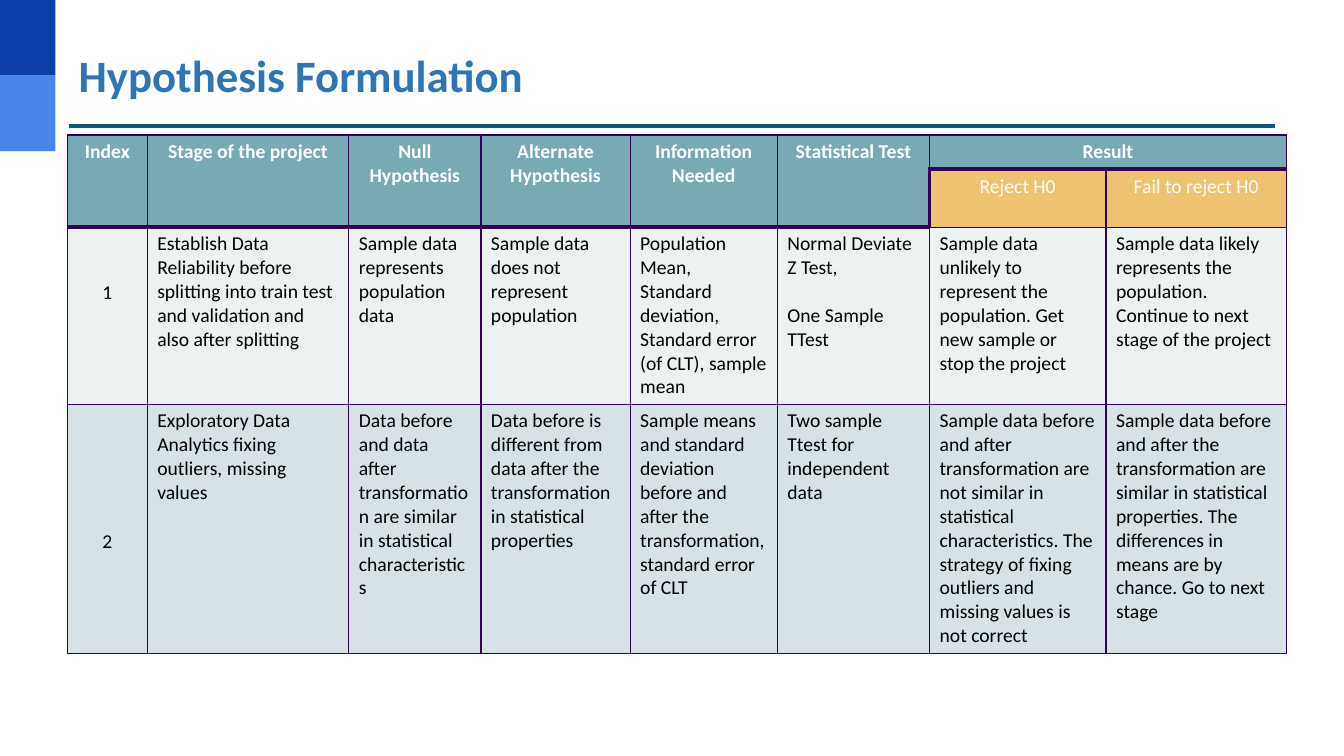
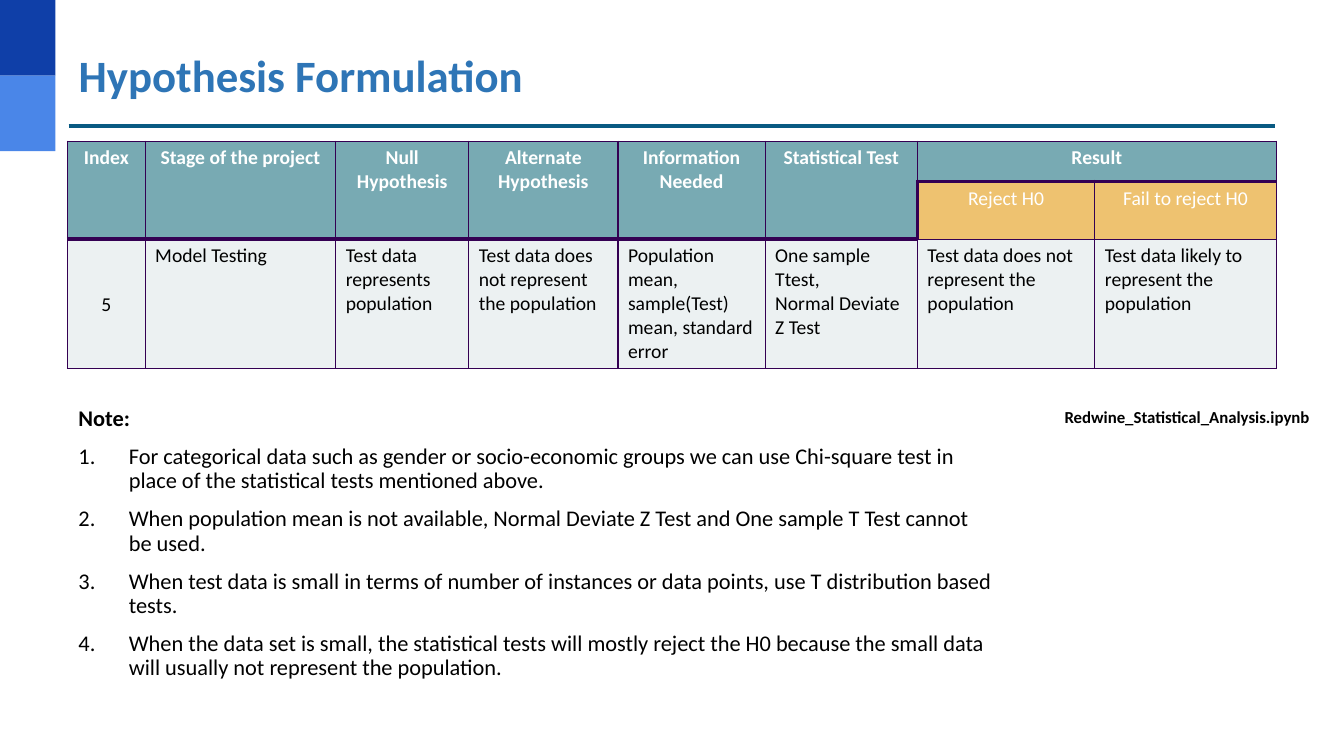
from lxml import etree
from pptx import Presentation
from pptx.dml.color import RGBColor
from pptx.enum.shapes import MSO_CONNECTOR, MSO_SHAPE
from pptx.enum.text import MSO_ANCHOR, MSO_AUTO_SIZE, PP_ALIGN
from pptx.oxml.ns import qn
from pptx.util import Inches, Pt

RECTANGLE = MSO_SHAPE.RECTANGLE
STRAIGHT = MSO_CONNECTOR.STRAIGHT
TOP, MIDDLE = MSO_ANCHOR.TOP, MSO_ANCHOR.MIDDLE
LEFT, CENTER = PP_ALIGN.LEFT, PP_ALIGN.CENTER
NO_AUTOFIT = MSO_AUTO_SIZE.NONE

# Theme: colours, fonts, type sizes, line widths
THEME = {
    "font": "Calibri",
    "bands": ["0F3FA8", "4A86E8"],
    "rule": "095A82",
    "title": "2E75B6",
    "text": "000000",
    "header_text": "FFFFFF",
    "header": "78AAB3",
    "subheader": "EEC270",
    "rows": ["ECF1F2", "D6E2E5"],
    "border": "340053",
    "title_size": 32,
    "table_size": 14,
    "note_size": 16,
    "file_size": 12,
    "rule_width": 2.25,
    "thin": 1,
    "thick": 3,
    "line_spacing": 0.9,
    "note_gap": 10,
}
SLIDE_SIZE = (13.33, 7.5)
BAND_SIZE = (0.55, 0.75)
TITLE_BOX = (0.68, 0.43, 11.97, 0.69)
RULE_TOP = 1.25
TABLE_LEFT = 0.67
CELL_MARGIN = 0.05
TABLE_LINE = 0.24  # height of one line of table text

# Content
TITLE = "Hypothesis Formulation"
HEADERS = ["Index", "Stage of the project", "Null Hypothesis",
           "Alternate Hypothesis", "Information Needed", "Statistical Test"]
RESULT = "Result"
OUTCOMES = ["Reject H0", "Fail to reject H0"]

TABLES = [
    {
        "top": 1.34,
        "columns": [0.79, 2, 1.31, 1.48, 1.46, 1.51, 1.75, 1.79],
        "heights": [0.34, 0.57, 1.75, 2.47],
        "index_lines": [2, 5],
        "paragraph_gap": 17,
        "rows": [
            ["1",
             "Establish Data Reliability before splitting into train test and "
             "validation and also after splitting",
             "Sample data represents population data",
             "Sample data does not represent population",
             "Population Mean, Standard deviation, Standard error (of CLT), "
             "sample mean",
             "Normal Deviate Z Test,\nOne Sample TTest",
             "Sample data unlikely to represent the population. Get new sample "
             "or stop the project",
             "Sample data likely represents the population. Continue to next "
             "stage of the project"],
            ["2",
             "Exploratory Data Analytics fixing outliers, missing values",
             "Data before and data after transformation are similar in "
             "statistical characteristics",
             "Data before is different from data after the transformation in "
             "statistical properties",
             "Sample means and standard deviation before and after the "
             "transformation, standard error of CLT",
             "Two sample Ttest for independent data",
             "Sample data before and after transformation are not similar in "
             "statistical characteristics. The strategy of fixing outliers and "
             "missing values is not correct",
             "Sample data before and after the transformation are similar in "
             "statistical properties. The differences in means are by chance. "
             "Go to next stage"],
        ],
    },
    {
        "top": 1.4,
        "columns": [0.77, 1.89, 1.32, 1.48, 1.46, 1.51, 1.76, 1.8],
        "heights": [0.4, 0.57, 1.28],
        "index_lines": [2],
        "paragraph_gap": 0,
        "rows": [
            ["5",
             "Model Testing",
             "Test data represents population",
             "Test data does not represent the population",
             "Population mean, sample(Test) mean, standard error",
             "One sample Ttest,\nNormal Deviate Z Test",
             "Test data does not represent the population",
             "Test data likely to represent the population"],
        ],
    },
]

NOTE_BOX = (0.68, 3.99, 9.3, 3.17)
NOTE_HEADING = "Note:"
NOTES = [
    "For categorical data such as gender or socio-economic groups we can use "
    "Chi-square test in place of the statistical tests mentioned above.",
    "When population mean is not available, Normal Deviate Z Test and One "
    "sample T Test cannot be used.",
    "When test data is small in terms of number of instances or data points, "
    "use T distribution based tests.",
    "When the data set is small, the statistical tests will mostly reject the "
    "H0 because the small data will usually not represent the population.",
]
FILE_BOX = (10.46, 3.99, 2.67, 0.3)
FILE_NAME = "Redwine_Statistical_Analysis.ipynb"


# Helpers
def inches(values):
    return [Inches(value) for value in values]


def color(name):
    return RGBColor.from_string(name)


def write(text_frame, lines, size, text_color, bold=False, **paragraph_format):
    """Write one paragraph per line and return the paragraphs."""
    text_frame.text = "\n".join(lines)
    for paragraph in text_frame.paragraphs:
        for name, value in paragraph_format.items():
            setattr(paragraph, name, value)
        for run in paragraph.runs:
            font = {"name": THEME["font"], "size": Pt(size), "bold": bold}
            for name, value in font.items():
                setattr(run.font, name, value)
            run.font.color.rgb = color(text_color)
    return text_frame.paragraphs


def add_text_box(slide, box, wrap):
    text_frame = slide.shapes.add_textbox(*inches(box)).text_frame
    text_frame.word_wrap = wrap
    return text_frame


def set_borders(cell, widths):
    properties = cell._tc.get_or_add_tcPr()
    for side in "LRTB":
        line = etree.SubElement(properties, qn(f"a:ln{side}"),
                                w=str(Pt(widths.get(side, THEME["thin"]))))
        fill = etree.SubElement(line, qn("a:solidFill"))
        etree.SubElement(fill, qn("a:srgbClr"), val=THEME["border"])


def number_paragraph(paragraph, indent):
    properties = paragraph._p.get_or_add_pPr()
    properties.set("marL", str(Inches(indent)))
    properties.set("indent", str(-Inches(indent)))
    etree.SubElement(properties, qn("a:buFont"), typeface="+mj-lt")
    etree.SubElement(properties, qn("a:buAutoNum"), type="arabicPeriod")


# Parts shared by the slides
def add_titled_slide(presentation):
    slide = presentation.slides.add_slide(presentation.slide_layouts[5])
    width, height = BAND_SIZE
    for position, band_color in enumerate(THEME["bands"]):
        band = slide.shapes.add_shape(
            RECTANGLE, *inches((0, position * height, width, height)))
        band.shadow.inherit = False
        band.fill.solid()
        band.fill.fore_color.rgb = color(band_color)
        band.line.fill.background()

    left, top, width, height = TITLE_BOX
    rule = slide.shapes.add_connector(
        STRAIGHT, *inches((left, RULE_TOP, left + width, RULE_TOP)))
    rule.line.color.rgb = color(THEME["rule"])
    rule.line.width = Pt(THEME["rule_width"])
    etree.SubElement(rule.element.spPr, qn("a:effectLst"))

    title = slide.shapes.title
    title.left, title.top, title.width, title.height = inches(TITLE_BOX)
    frame_format = {"vertical_anchor": MIDDLE, "word_wrap": True,
                    "auto_size": NO_AUTOFIT}
    for name, value in frame_format.items():
        setattr(title.text_frame, name, value)
    write(title.text_frame, [TITLE], THEME["title_size"], THEME["title"],
          bold=True, alignment=LEFT, line_spacing=THEME["line_spacing"])
    return slide


def cell_style(row, column):
    """Return fill, text colour, boldness and border widths of a cell."""
    thick = THEME["thick"]
    outcome = column >= len(HEADERS)
    if row == 1 and outcome:
        borders = {"T": thick}
        if column == len(HEADERS):
            borders["L"] = thick
        return THEME["subheader"], THEME["header_text"], False, borders
    if row < 2:
        return THEME["header"], THEME["header_text"], True, {"B": thick}
    borders = {"T": thick} if row == 2 and not outcome else {}
    return THEME["rows"][row % 2], THEME["text"], False, borders


def add_hypothesis_table(slide, content):
    columns, heights = content["columns"], content["heights"]
    grid = [HEADERS + [RESULT, ""], [""] * len(HEADERS) + OUTCOMES]
    grid += content["rows"]
    table = slide.shapes.add_table(
        len(heights), len(columns),
        *inches((TABLE_LEFT, content["top"], sum(columns), sum(heights)))).table
    table.first_row = table.horz_banding = False
    for column, width in zip(table.columns, columns):
        column.width = Inches(width)
    for row, height in zip(table.rows, heights):
        row.height = Inches(height)

    # Headings span two rows, the result spans two columns
    for column in range(len(HEADERS)):
        table.cell(0, column).merge(table.cell(1, column))
    table.cell(0, len(HEADERS)).merge(table.cell(0, len(columns) - 1))

    for row, texts in enumerate(grid):
        for column, text in enumerate(texts):
            cell = table.cell(row, column)
            fill, text_color, bold, borders = cell_style(row, column)
            set_borders(cell, borders)
            cell.fill.solid()
            cell.fill.fore_color.rgb = color(fill)
            cell.vertical_anchor = TOP
            if not text:
                continue
            centered = row < 2 or column == 0
            paragraphs = write(cell.text_frame, text.split("\n"),
                               THEME["table_size"], text_color, bold,
                               alignment=CENTER if centered else LEFT)
            for paragraph in paragraphs[1:]:
                paragraph.space_before = Pt(content["paragraph_gap"])
            if row >= 2 and column == 0:
                lines = content["index_lines"][row - 2]
                cell.margin_top = Inches(CELL_MARGIN + lines * TABLE_LINE)


def add_notes_text(slide):
    heading, *notes = write(
        add_text_box(slide, NOTE_BOX, True), [NOTE_HEADING] + NOTES,
        THEME["note_size"], THEME["text"],
        line_spacing=THEME["line_spacing"], space_before=Pt(THEME["note_gap"]))
    heading.runs[0].font.bold = True
    for paragraph in notes:
        number_paragraph(paragraph, 0.5)
    write(add_text_box(slide, FILE_BOX, False), [FILE_NAME],
          THEME["file_size"], THEME["text"], bold=True)


def main():
    presentation = Presentation()
    presentation.slide_width, presentation.slide_height = inches(SLIDE_SIZE)
    for content in TABLES:
        slide = add_titled_slide(presentation)
        add_hypothesis_table(slide, content)
    add_notes_text(slide)
    presentation.save("out.pptx")


if __name__ == "__main__":
    main()
